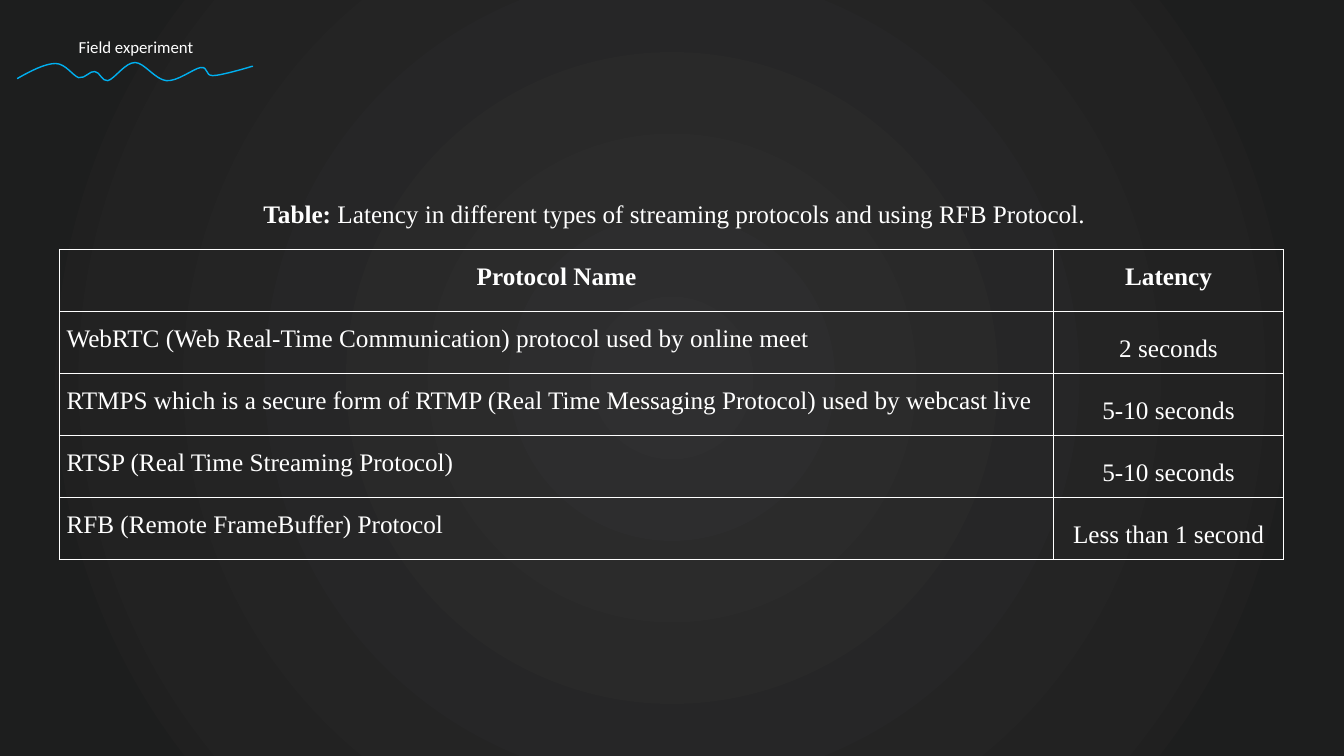
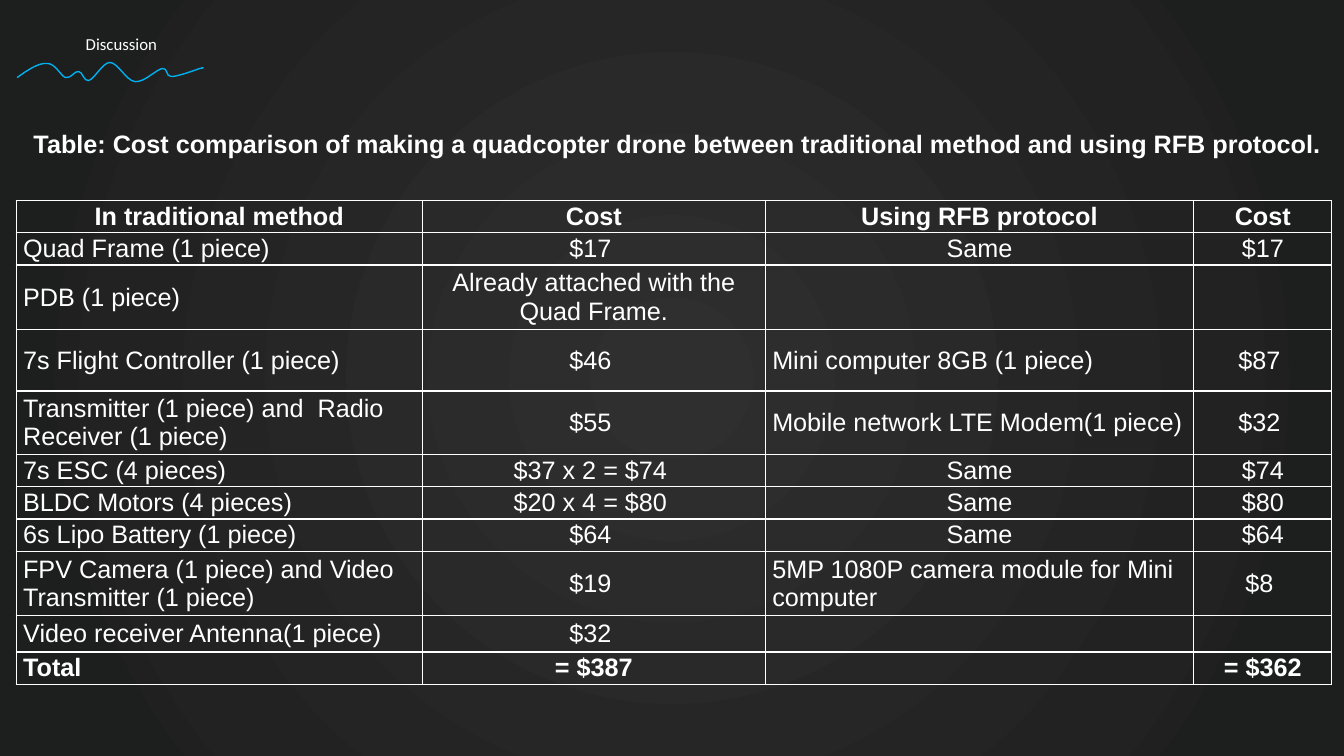
from pptx import Presentation
from pptx.dml.color import RGBColor as Rgb
from pptx.enum.text import MSO_ANCHOR as Anchor, MSO_AUTO_SIZE as Fit, PP_ALIGN as Align
from pptx.oxml import parse_xml
from pptx.oxml.ns import nsdecls, qn
from pptx.util import Inches, Pt

HUES = {"text": "FFFFFF", "wave": "00B0F0",
        "core": "2F2F30", "mid": "222222", "edge": "1D1E1E"}
STOPS = [(0, "core"), (74, "mid"), (83, "edge"), (100, "edge")]
PLAIN = "{2D5ABB26-0587-4C30-8999-92F81FD0307C}"
WAVE = [
    (17, 78),
    (31, 70), (45, 63), (55, 63),
    (65, 63), (72, 75), (78, 77),
    (85, 78), (89, 70), (94, 71),
    (99, 71), (101, 81), (107, 80),
    (114, 78), (124, 62), (134, 62),
    (143, 62), (154, 79), (165, 80),
    (176, 81), (192, 68), (199, 67),
    (207, 66), (203, 75), (211, 75),
    (219, 75), (246, 67), (246, 67),
    (252, 65), (251, 66), (249, 66),
]
DELAYS = [
    ["Protocol Name", "Latency"],
    ["WebRTC (Web Real-Time Communication) protocol used by online meet", "2 seconds"],
    ["RTMPS which is a secure form of RTMP (Real Time Messaging Protocol) used by webcast live",
     "5-10 seconds"],
    ["RTSP (Real Time Streaming Protocol)", "5-10 seconds"],
    ["RFB (Remote FrameBuffer) Protocol", "Less than 1 second"],
]
COSTS = [
    ["In traditional method", "Cost", "Using RFB protocol", "Cost"],
    ["Quad Frame (1 piece)", "$17 ", "Same", "$17"],
    ["PDB (1 piece)", "Already attached with the Quad Frame.", "", ""],
    ["7s Flight Controller (1 piece)", "$46 ", "Mini computer 8GB (1 piece)", "$87 "],
    ["Transmitter (1 piece) and  Radio Receiver (1 piece)", "$55 ",
     "Mobile network LTE Modem(1 piece)", "$32 "],
    ["7s ESC (4 pieces)", "$37 x 2 = $74 ", "Same", "$74"],
    ["BLDC Motors (4 pieces)", "$20 x 4 = $80 ", "Same", "$80"],
    ["6s Lipo Battery (1 piece)", "$64 ", "Same", "$64"],
    ["FPV Camera (1 piece) and Video Transmitter (1 piece)", "$19 ",
     "5MP 1080P camera module for Mini computer", "$8 "],
    ["Video receiver Antenna(1 piece)", "$32 ", "", ""],
    ["Total", "= $387", "", "= $362"],
]


def paint(master):
    master.background.fill.solid()
    stops = "".join(f'<a:gs pos="{pos * 1000}"><a:srgbClr val="{HUES[hue]}"/></a:gs>'
                    for pos, hue in STOPS)
    grad = parse_xml(
        f'<a:gradFill {nsdecls("a")} rotWithShape="1"><a:gsLst>{stops}</a:gsLst>'
        '<a:path path="circle"><a:fillToRect l="50000" t="50000" r="50000" b="50000"/>'
        '</a:path></a:gradFill>')
    base = master.element.find(".//" + qn("p:bgPr"))
    base.replace(base[0], grad)


def write(para, text, size, font, bold=False):
    run = para.add_run()
    run.text = text
    run.font.size = Pt(size)
    run.font.name = font
    run.font.bold = bold
    run.font.color.rgb = Rgb.from_string(HUES["text"])


def head(slide, text, left, top, width):
    title = slide.shapes.title
    title.left, title.top = Inches(left), Inches(top)
    title.width, title.height = Inches(width), Inches(0.3)
    frame = title.text_frame
    frame.word_wrap = True
    frame.auto_size = Fit.NONE
    frame.vertical_anchor = Anchor.TOP
    para = frame.paragraphs[0]
    para.alignment = Align.LEFT
    write(para, text, 12, "Calibri")


def wave(slide, scale=1, tilt=0):
    first = WAVE[0][0]
    dots = [(first + (x - first) * scale, y + tilt * (x - 100)) for x, y in WAVE]
    form = slide.shapes.build_freeform(*dots[0], scale=Inches(0.01))
    form.add_line_segments(dots[1:], close=False)
    shape = form.convert_to_shape()
    shape.shadow.inherit = False
    shape.fill.background()
    shape.line.color.rgb = Rgb.from_string(HUES["wave"])
    shape.line.width = Pt(1)
    lines = list(shape.element.iter(qn("a:lnTo")))
    for i in range(0, len(lines), 3):
        curve = parse_xml(f'<a:cubicBezTo {nsdecls("a")}/>')
        lines[i].addprevious(curve)
        for line in lines[i:i + 3]:
            curve.append(line[0])
            line.getparent().remove(line)


def edge(cell, sides):
    cell.fill.background()
    props = cell._tc.get_or_add_tcPr()
    for i, side in enumerate(sides):
        props.insert(i, parse_xml(
            f'<a:ln{side} {nsdecls("a")} w="12700"><a:solidFill>'
            f'<a:srgbClr val="{HUES["text"]}"/></a:solidFill></a:ln{side}>'))


def fill(cell, runs, font, align, space, anchor):
    cell.margin_left = cell.margin_right = Inches(0.07)
    cell.margin_top = cell.margin_bottom = 0
    cell.vertical_anchor = anchor
    para = cell.text_frame.paragraphs[0]
    para.alignment = align
    para.line_spacing = space
    for text, bold in runs:
        if text:
            write(para, text, 18, font, bold)


def grid(slide, left, top, cols, rows, label, data, font, space, anchor, strong):
    frame = slide.shapes.add_table(len(rows), len(cols), Inches(left), Inches(top),
                                   Inches(sum(cols)), Inches(sum(rows)))
    table = frame.table
    table._tbl.tblPr.find(qn("a:tableStyleId")).text = PLAIN
    table.first_row = table.horz_banding = False
    for col, width in zip(table.columns, cols):
        col.width = Inches(width)
    for row, height in zip(table.rows, rows):
        row.height = Inches(height)
    for c in range(len(cols)):
        edge(table.cell(0, c), "B")
    table.cell(0, 0).merge(table.cell(0, len(cols) - 1))
    fill(table.cell(0, 0), label, font, Align.CENTER, space, anchor)
    for r, line in enumerate(data):
        for c, text in enumerate(line):
            cell = table.cell(r + 1, c)
            mid = r == 0 or c % 2 or text == "Same"
            place = Anchor.MIDDLE if r and c % 2 else anchor
            fill(cell, [(text, r in strong)], font,
                 Align.CENTER if mid else Align.LEFT, space, place)
            edge(cell, "LRTB")


def main():
    prs = Presentation()
    prs.slide_width, prs.slide_height = Inches(13.33), Inches(7.5)
    paint(prs.slide_master)
    field, talk = [prs.slides.add_slide(prs.slide_layouts[5]) for _ in range(2)]

    head(field, "Field experiment", 0.68, 0.31, 1.84)
    wave(field)
    grid(field, 0.59, 1.86, [9.86, 2.28], [0.615] * 6,
         [(" Table: ", True),
          ("Latency in different types of streaming protocols and using RFB Protocol.", False)],
         DELAYS, "Times New Roman", 1.5, Anchor.TOP, {0})

    head(talk, "Discussion", 0.75, 0.28, 1.27)
    wave(talk, 0.79, 0.01)
    grid(talk, 0.16, 0.89, [4.03, 3.4, 4.25, 1.37],
         [1.1, 0.32, 0.32, 0.64, 0.61, 0.63, 0.32, 0.32, 0.32, 0.64, 0.36, 0.32],
         [(" Table: Cost comparison of making a quadcopter drone between traditional method"
           " and using RFB protocol.", True)],
         COSTS, "Arial", 1, Anchor.MIDDLE, {0, len(COSTS) - 1})

    prs.save("out.pptx")


if __name__ == "__main__":
    main()
